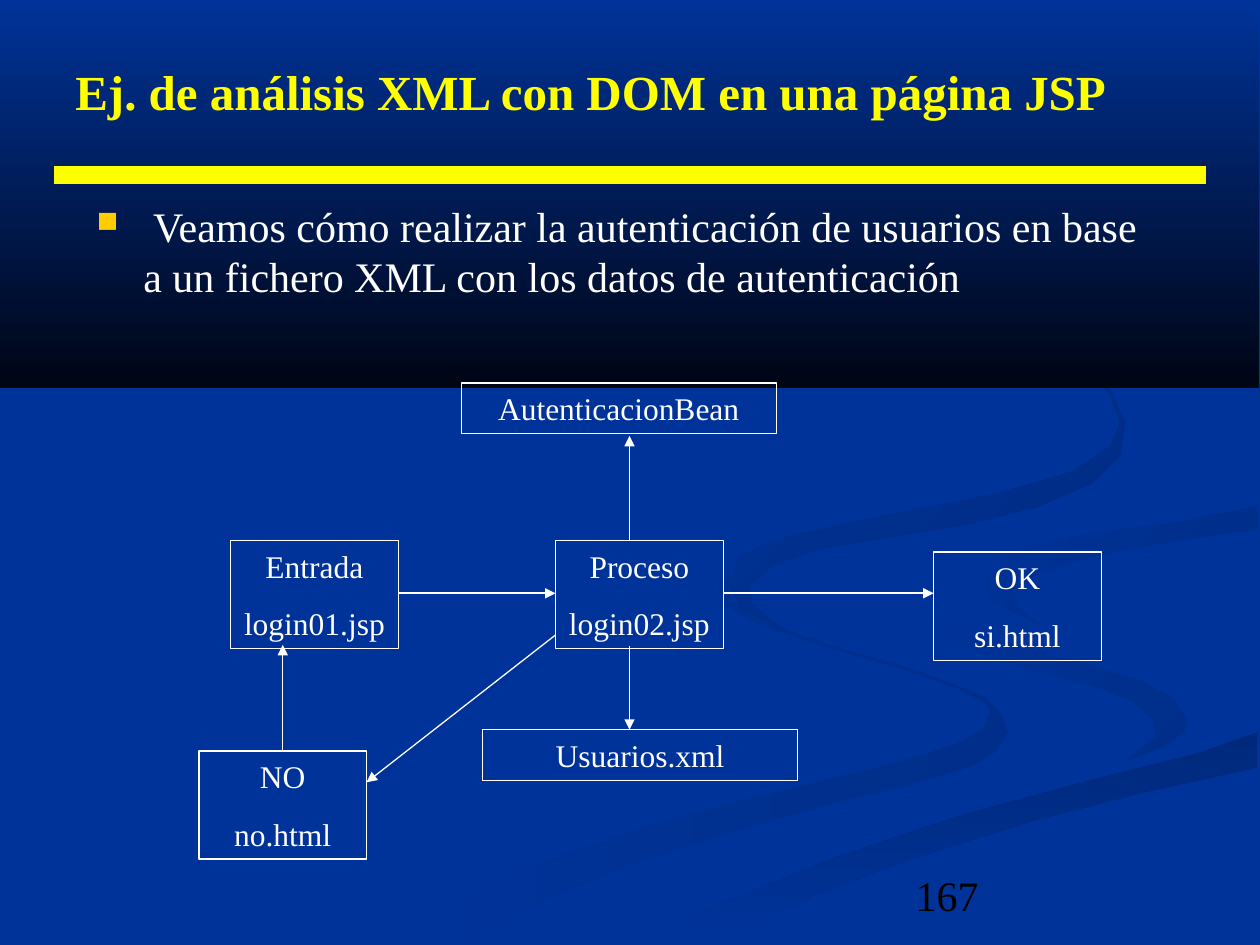
import pptx
import pptx.util
import pptx.dml.color
import pptx.enum.shapes
import pptx.enum.text
import pptx.oxml
import pptx.oxml.ns

Cm = pptx.util.Cm
Pt = pptx.util.Pt
align = pptx.enum.text.PP_ALIGN
anchor = pptx.enum.text.MSO_ANCHOR
fit = pptx.enum.text.MSO_AUTO_SIZE
rect = pptx.enum.shapes.MSO_SHAPE.RECTANGLE
straight = pptx.enum.shapes.MSO_CONNECTOR.STRAIGHT
space = pptx.oxml.ns.nsdecls("a")

blue, white, yellow = "003399", "FFFFFF", "FFFF00"


def hue(code):
    return pptx.dml.color.RGBColor.from_string(code)


def write(shape, lines, ink, font, para={}, body={}):
    """Fill a shape with one paragraph per line, formatted from dicts."""
    frame = shape.text_frame
    frame.word_wrap = True
    for key, val in body.items():
        setattr(frame, key, val)
    frame.text = "\n".join(lines)
    for part in frame.paragraphs:
        for key, val in para.items():
            setattr(part, key, val)
        face = part.runs[0].font
        face.name = "Times New Roman"
        face.color.rgb = hue(ink)
        for key, val in font.items():
            setattr(face, key, val)


deck = pptx.Presentation()
deck.slide_width, deck.slide_height = Cm(25.4), Cm(19.05)
slide = deck.slides.add_slide(deck.slide_layouts[6])
slide.background.fill.solid()
slide.background.fill.fore_color.rgb = hue(blue)
shapes = slide.shapes

# Background ribbons and the dark top panel: start colour, end colour, angle, outline in cm
bands = [
    ("002E8A", blue, 180, [
        (19.84, 14.05), (19.23, 13.79), (18.14, 13.41), (16.79, 13.03), (15.9, 12.73),
        (15.29, 12.45), (14.78, 12.12), (14.58, 11.79), (14.61, 11.66), (14.48, 11.86),
        (14.63, 12.19), (15.27, 12.57), (16.61, 13.03), (18.11, 13.46), (19.33, 13.89),
        (19.89, 14.2), (19.96, 14.38), (19.79, 14.71), (19.28, 14.99), (18.11, 15.37),
        (16.56, 15.75), (14.71, 16.21), (12.67, 16.79), (10.59, 17.5), (8.59, 18.47),
        (7.62, 19.02), (9.17, 19.02), (10.95, 18.14), (12.67, 17.42), (14.33, 16.89),
        (16.51, 16.26), (18.31, 15.82), (19.53, 15.47), (20.07, 15.16), (20.32, 14.76),
        (20.19, 14.4)]),
    ("002E8A", blue, 135, [
        (23.93, 14.48), (23.62, 14.05), (22.96, 13.72), (21.59, 13.31), (20.12, 12.93),
        (19.25, 12.65), (18.62, 12.27), (18.39, 11.79), (18.44, 12.17), (18.77, 12.55),
        (19.46, 13), (20.7, 13.46), (22.05, 13.82), (22.86, 14.15), (23.24, 14.5),
        (23.29, 14.86), (22.68, 15.34), (23.47, 15.06), (23.88, 14.76)]),
    ("00297C", blue, 270, [
        (12.78, 19.02), (14.5, 19.02), (15.21, 18.62), (16.46, 18.03), (18.34, 17.32),
        (20.85, 16.54), (22.94, 16), (25.35, 15.47), (25.35, 14.76), (24.13, 15.19),
        (22.02, 15.72), (19.41, 16.43), (16.81, 17.3), (14.45, 18.26), (13.18, 18.97)]),
    ("002C85", blue, 135, [
        (19.84, 11.68), (19.96, 12.04), (20.47, 12.37), (20.96, 12.6), (20.52, 12.27),
        (20.45, 11.99), (20.73, 11.66), (21.39, 11.38), (22.76, 11.05), (24.21, 10.82),
        (25.35, 10.67), (25.35, 10.21), (23.7, 10.54), (21.97, 10.77), (20.85, 11),
        (20.09, 11.35)]),
    ("002B81", blue, 135, [
        (17.35, 10.92), (19.41, 10.59), (20.93, 10.21), (22, 9.75), (22.58, 9.19),
        (22.68, 8.51), (22.35, 7.8), (21.69, 7.19), (20.57, 6.5), (19.35, 5.92),
        (20.45, 6.45), (21.69, 7.24), (22.38, 7.95), (22.58, 8.51), (22.4, 8.99),
        (21.64, 9.5), (20.09, 9.96), (17.88, 10.39), (15.88, 10.82), (14.96, 11.2),
        (14.66, 11.73), (14.99, 12.29), (15.8, 12.7), (15.16, 12.19), (15.09, 11.81),
        (15.6, 11.38), (16.48, 11.07)]),
    (blue, "000514", 270, [(0, 0), (0, 7.82), (25.38, 7.82), (25.38, 0)]),
]
for first, last, angle, points in bands:
    points = [(Cm(x), Cm(y)) for x, y in points]
    pen = shapes.build_freeform(*points[0])
    pen.add_line_segments(points[1:])
    band = pen.convert_to_shape()
    band.shadow.inherit = False
    band.line.fill.background()
    band.fill.gradient()
    band.fill.gradient_angle = angle
    for stop, code, place in zip(band.fill.gradient_stops, (first, last), (0, 1)):
        stop.color.rgb = hue(code)
        stop.position = place

# Title, body and page number
title = shapes.add_textbox(Cm(1.27), Cm(0.76), Cm(22.86), Cm(2.16))
write(title, ["Ej. de análisis XML con DOM en una página JSP"], yellow,
      {"size": Pt(28), "bold": True}, body={"vertical_anchor": anchor.MIDDLE})

body = shapes.add_textbox(Cm(1.7), Cm(3.91), Cm(21.59), Cm(3.53))
write(body, [" Veamos cómo realizar la autenticación de usuarios en base a un "
             "fichero XML con los datos de autenticación"],
      white, {"size": Pt(24)}, {"space_before": Pt(6)})
props = body.text_frame.paragraphs[0]._p.get_or_add_pPr()
props.set("marL", str(Cm(0.94)))
props.set("indent", str(Cm(-0.94)))
for tag in ('buClr {}><a:srgbClr val="FFCC00"/></a:buClr>',
            'buSzPct {} val="70000"/>', 'buChar {} char="■"/>'):
    props.append(pptx.oxml.parse_xml("<a:" + tag.format(space)))

page = shapes.add_textbox(Cm(18.21), Cm(17.4), Cm(5.92), Cm(1.27))
write(page, ["167"], "000000", {"size": Pt(24)},
      body={"vertical_anchor": anchor.BOTTOM})

# Flow boxes: left, top, width, lines
small, wide = 3.38, 6.35
boxes = [
    (4.65, 10.9, small, ["Entrada", "login01.jsp"]),
    (9.3, 7.72, wide, ["AutenticacionBean"]),
    (11.2, 10.9, small, ["Proceso", "login02.jsp"]),
    (4.01, 15.14, small, ["NO", "no.html"]),
    (9.73, 14.71, wide, ["Usuarios.xml"]),
    (18.82, 11.13, small, ["OK", "si.html"]),
]
for left, top, width, lines in boxes:
    high = 1.02 if len(lines) == 1 else 2.18
    box = shapes.add_shape(rect, Cm(left), Cm(top), Cm(width), Cm(high))
    box.shadow.inherit = False
    box.fill.background()
    box.line.color.rgb = hue(white)
    box.line.width = Pt(0.75)
    write(box, lines, white, {"size": Pt(18)},
          {"alignment": align.CENTER, "space_before": Pt(11.2)},
          {"vertical_anchor": anchor.TOP, "auto_size": fit.SHAPE_TO_FIT_TEXT})

# Title rule, then the arrows: ends in cm, colour, weight
links = [
    (1.09, 3.53, 24.31, 3.53, yellow, 10),
    (8.03, 11.96, 11.2, 11.96, white, 1.25),
    (14.58, 11.96, 18.82, 11.96, white, 1.25),
    (12.69, 13.03, 12.69, 14.71, white, 0.75),
    (12.69, 10.9, 12.69, 8.79, white, 0.75),
    (11.2, 12.8, 7.39, 15.77, white, 0.75),
    (5.7, 15.14, 5.7, 13, white, 0.75),
]
for *ends, code, weight in links:
    link = shapes.add_connector(straight, *[Cm(end) for end in ends])
    link.line.color.rgb = hue(code)
    link.line.width = Pt(weight)
    if code == white:
        link.line._get_or_add_ln().append(
            pptx.oxml.parse_xml(f'<a:tailEnd {space} type="triangle"/>'))
    link._element.spPr.append(pptx.oxml.parse_xml(f"<a:effectLst {space}/>"))

deck.save("out.pptx")
